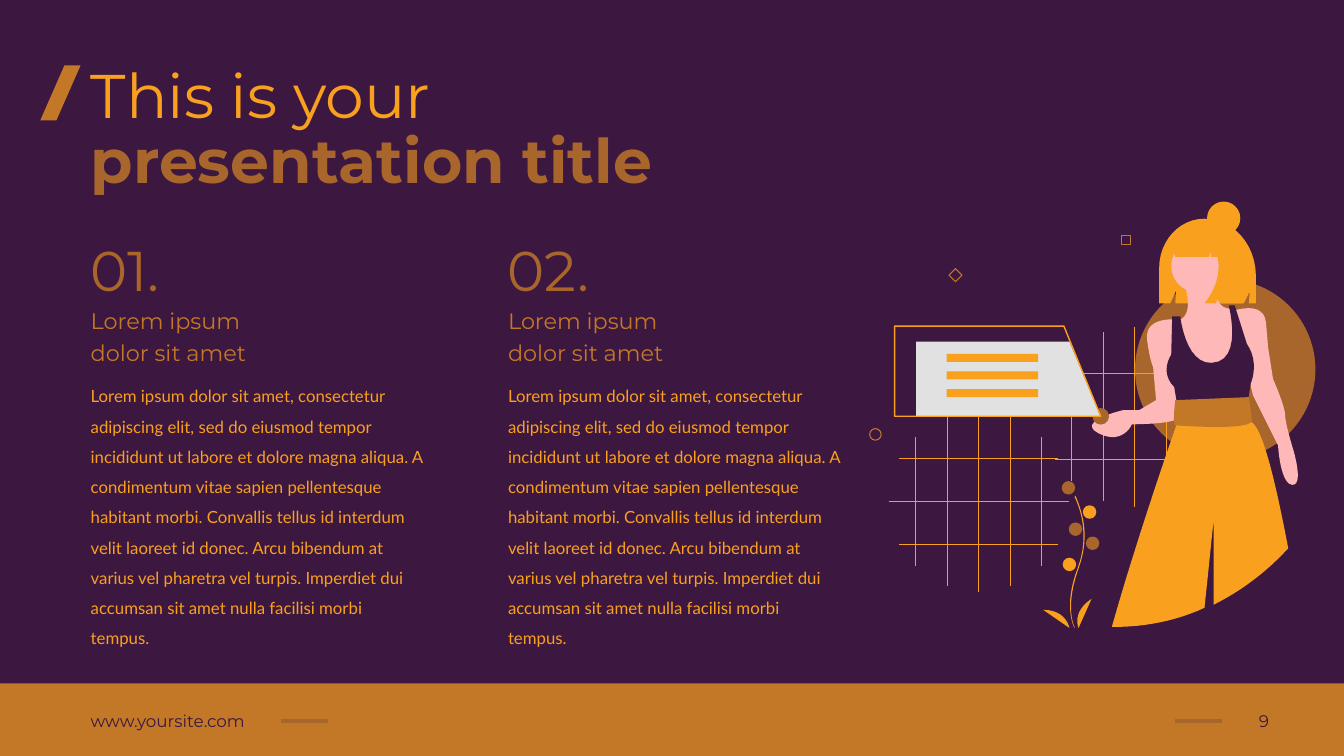
from lxml import etree
from pptx import Presentation
from pptx.dml.color import RGBColor
from pptx.enum.shapes import MSO_CONNECTOR, MSO_SHAPE as Preset
from pptx.enum.text import MSO_ANCHOR as Anchor, MSO_AUTO_SIZE as AutoSize, PP_ALIGN as Align
from pptx.oxml.ns import qn
from pptx.util import Pt

COLORS = {
    "plum": "3C1740", "amber": "F9A01E", "copper": "C37827", "brown": "A8652C",
    "skin": "FFB8B8", "silver": "E1E1E1", "slate": "3F3D56",
}
BODY = (
    "Lorem ipsum dolor sit amet, consectetur adipiscing elit, sed do eiusmod tempor "
    "incididunt ut labore et dolore magna aliqua. A condimentum vitae sapien pellentesque "
    "habitant morbi. Convallis tellus id interdum velit laoreet id donec. Arcu bibendum at "
    "varius vel pharetra vel turpis. Imperdiet dui accumsan sit amet nulla facilisi morbi tempus."
)

# Outlines on the illustration grid: a pair is a corner, six numbers are a Bézier curve
STEM = [(206, 423), (206, 423, 203, 418, 202, 408), (201, 400, 201, 385, 209, 364),
        (224, 325, 206, 293, 206, 293), (207, 292), (207, 292, 211, 300, 214, 313),
        (218, 330, 216, 348, 210, 364), (196, 403, 206, 422, 206, 422)]
RIGHT_LEAF = [(210, 423), (210, 423, 203, 407, 223, 394)]
LEFT_LEAF = [(201, 423), (201, 423, 198, 405, 175, 405)]
BACK_HAIR = [(335, 17), (310, 17, 290, 39, 290, 66), (290, 101), (301, 101), (307, 88),
             (306, 101), (374, 101), (380, 89), (379, 101), (386, 101), (386, 74),
             (386, 42, 363, 17, 335, 17)]
NECK = [(314, 79), (314, 79, 327, 112, 309, 118), (327, 179), (359, 177), (367, 157),
        (365, 126), (363, 106), (363, 106, 343, 111, 345, 76)]
LEFT_ARM = [(306, 117), (306, 117, 275, 114, 278, 137), (281, 159, 284, 164, 284, 164),
            (287, 197), (270, 207), (254, 207), (254, 207, 206, 218, 230, 230),
            (254, 242, 263, 221, 263, 221), (263, 221, 307, 221, 310, 214),
            (313, 206, 306, 117, 306, 117)]
RIGHT_ARM = [(365, 108), (365, 108, 394, 98, 396, 120), (398, 142, 398, 144, 398, 144),
             (403, 176), (403, 176, 415, 203, 415, 212), (415, 220, 423, 246, 423, 246),
             (423, 246, 434, 282, 422, 281), (410, 280, 408, 242, 408, 242),
             (383, 192), (376, 162)]
TOP = [(311, 114), (303, 114), (302, 152), (302, 152, 290, 169, 305, 184), (309, 208),
       (377, 205), (381, 180), (381, 180, 390, 160, 377, 141), (365, 103), (359, 103),
       (359, 103, 374, 159, 342, 160), (316, 161, 311, 114, 311, 114)]
TROUSERS = [(418, 344), (397, 367, 372, 386, 344, 400), (344, 353, 344, 316, 344, 316),
            (344, 316, 340, 355, 335, 403), (307, 416, 276, 422, 245, 422), (243, 422),
            (269, 330, 306, 225, 307, 222), (309, 215), (313, 203), (373, 202), (375, 205),
            (380, 218), (381, 218, 381, 219, 382, 219), (393, 226, 406, 280, 418, 344)]
BELT = [(379, 194), (306, 197), (306, 197, 303, 222, 306, 222),
        (307, 222, 383, 228, 382, 217), (381, 206, 379, 194, 379, 194)]
FRINGE = [(348, 30), (343, 25, 337, 21, 329, 21), (328, 21), (312, 21, 298, 36, 298, 55),
          (303, 55), (304, 48), (306, 55), (339, 55), (342, 49), (341, 55), (348, 55),
          (351, 70, 347, 86, 335, 101), (346, 101), (352, 89), (350, 101), (372, 101),
          (376, 74), (376, 54, 364, 37, 348, 30)]
PANEL = [(232, 213), (49, 213), (49, 139), (201, 139)]
FRAME = [(27.5, 123.5), (195.5, 123.5), (232, 213), (27.5, 213)]


def rgb(name):
    return RGBColor.from_string(COLORS[name])


def paint(shape, fill=None, line=None, width=0.75):
    shape.shadow.inherit = False
    if fill:
        shape.fill.solid()
        shape.fill.fore_color.rgb = rgb(fill)
    else:
        shape.fill.background()
    if line:
        shape.line.color.rgb = rgb(line)
        shape.line.width = Pt(width)
    else:
        shape.line.fill.background()
    return shape


def add_preset(shapes, preset, left, top, width, height, **style):
    return paint(shapes.add_shape(preset, Pt(left), Pt(top), Pt(width), Pt(height)), **style)


def add_line(shapes, x1, y1, x2, y2, color, width=0.75):
    line = shapes.add_connector(MSO_CONNECTOR.STRAIGHT, Pt(x1), Pt(y1), Pt(x2), Pt(y2))
    line.line.color.rgb = rgb(color)
    line.line.width = Pt(width)
    properties = line._element.find(qn("p:spPr"))
    etree.SubElement(properties, qn("a:effectLst"))


def add_text(slide, text, box, placeholder=None, size=12, font="Montserrat", color="amber",
             bold=False, align=Align.LEFT, anchor=Anchor.TOP, spacing=1.0):
    left, top, width, height = map(Pt, box)
    shape = placeholder or slide.shapes.add_textbox(left, top, width, height)
    shape.left, shape.top, shape.width, shape.height = left, top, width, height
    frame = shape.text_frame
    frame.word_wrap, frame.auto_size, frame.vertical_anchor = True, AutoSize.NONE, anchor
    frame.text = text
    for paragraph in frame.paragraphs:
        paragraph.alignment, paragraph.line_spacing = align, spacing
        paragraph.space_before = paragraph.space_after = Pt(0)
        properties = paragraph._p.get_or_add_pPr()
        properties.set("marL", "0")
        properties.set("indent", "0")
        etree.SubElement(properties, qn("a:buNone"))
        for run in paragraph.runs:
            run.font.size, run.font.name, run.font.bold = Pt(size), font, bold
            run.font.color.rgb = rgb(color)


def flatten(outline, steps=12):
    """Turn corners and Bézier curves into a list of points."""
    points = [outline[0]]
    for part in outline[1:]:
        if len(part) == 2:
            points.append(part)
            continue
        nodes = [points[-1], part[:2], part[2:4], part[4:]]
        for step in range(1, steps + 1):
            t = step / steps
            weights = ((1 - t) ** 3, 3 * t * (1 - t) ** 2, 3 * t * t * (1 - t), t ** 3)
            points.append(tuple(sum(w * node[axis] for w, node in zip(weights, nodes))
                                for axis in (0, 1)))
    return points


def add_footer(slide, left, top, width, height):
    add_preset(slide.shapes, Preset.RECTANGLE, left, top, width, height, fill="copper")
    middle = top + 26.8
    style = {"color": "plum", "anchor": Anchor.MIDDLE}
    add_text(slide, "www.yoursite.com", (left + 57.6, top + 12.4, 143.3, 28.8), **style)
    add_text(slide, "9", (left + 872.6, top + 12.4, 41, 28.8), align=Align.RIGHT, **style)
    for start in (left + 200.9, left + 839.5):
        add_line(slide.shapes, start, middle, start + 33.1, middle, "brown", 2.25)


def add_title(slide, left, top):
    slash = add_preset(slide.shapes, Preset.PARALLELOGRAM, left - 28.8, top + 10,
                       28.8, 39.3, fill="copper")
    slash.adjustments[0] = 0.6
    add_text(slide, "This is your", (left, top, 595, 60.5), slide.shapes.title, size=44)
    add_text(slide, "presentation title", (left, top + 46.8, 428, 60.5), size=44,
             color="brown", bold=True)


def add_column(slide, left, top, number, heading, body):
    add_text(slide, number, (left, top, 78, 61), size=40, color="brown", spacing=1.2)
    add_text(slide, "Lorem ipsum\ndolor sit amet", (left, top + 56.9, 213, 52), heading,
             size=16, color="copper", spacing=1.2)
    add_text(slide, BODY, (left, top + 110.2, 252, 179.3), body, font="Lato", spacing=1.5)


def add_illustration(slide, left, top, width):
    shapes = slide.shapes.add_group_shape().shapes
    unit = width / 450

    def place(x, y):
        return left + x * unit, top + y * unit

    def draw(outline, **style):
        points = [tuple(map(Pt, place(x, y))) for x, y in flatten(outline)]
        builder = shapes.build_freeform(*points[0])
        builder.add_line_segments(points[1:], close=True)
        paint(builder.convert_to_shape(), **style)

    def mark(preset, x, y, w, h, **style):
        """Place a preset shape around its centre."""
        add_preset(shapes, preset, *place(x - w / 2, y - h / 2), w * unit, h * unit, **style)

    def dot(x, y, size, color):
        mark(Preset.OVAL, x, y, size, size, fill=color)

    def grid(x, y, columns, rows):
        for i, (half, color) in enumerate(zip((64, 84, 89.5, 84, 64), columns)):
            across = x + (i - 2) * 31.25
            add_line(shapes, *place(across, y - half), *place(across, y + half), color)
        for i, (half, color) in enumerate(zip((79, 89.5, 79), rows)):
            down = y + (i - 1) * 42.5
            add_line(shapes, *place(x - half, down), *place(x + half, down), color)

    # Plant
    for outline in (STEM, RIGHT_LEAF, LEFT_LEAF):
        draw(outline, fill="amber")
    for x, y, color in ((200, 284, "brown"), (221, 308, "amber"), (207, 325, "brown"),
                        (224, 339, "brown"), (201, 360, "amber")):
        dot(x, y, 13.4, color)

    # Grids and disc
    grid(111, 297.5, ["amber"] * 5, ["amber"] * 3)
    dot(355.5, 166.5, 179, "brown")
    grid(266, 213.5, ["amber"] * 4 + ["slate"], ["amber", "slate", "amber"])

    # Woman
    for outline, color in ((BACK_HAIR, "amber"), (NECK, "skin"), (LEFT_ARM, "skin"),
                           (RIGHT_ARM, "skin"), (TOP, "plum"), (TROUSERS, "amber"),
                           (BELT, "copper")):
        draw(outline, fill=color)
    dot(328, 64, 52, "skin")
    draw(FRINGE, fill="amber")
    dot(354, 16.5, 33, "amber")

    # Panel
    dot(232, 213, 16.5, "brown")
    draw(PANEL, fill="silver")
    draw(FRAME, line="amber", width=1)
    for i in range(3):
        mark(Preset.RECTANGLE, 124.5, 155 + i * 17.5, 91, 8, fill="amber")

    # Small outlined marks
    for preset, x, y, size in ((Preset.OVAL, 8.5, 231, 11.5), (Preset.RECTANGLE, 257, 38, 9.5),
                               (Preset.DIAMOND, 88, 73, 13)):
        mark(preset, x, y, size, size, line="copper")


def main():
    presentation = Presentation()
    presentation.slide_width, presentation.slide_height = Pt(960), Pt(540)
    slide = presentation.slides.add_slide(presentation.slide_layouts.get_by_name("Comparison"))
    slide.background.fill.solid()
    slide.background.fill.fore_color.rgb = rgb("plum")
    holders = slide.placeholders
    add_footer(slide, 0, 488.2, 960, 51.8)
    add_title(slide, 57.6, 36.7)
    add_column(slide, 57.6, 154.8, "01.", holders[1], holders[2])
    add_column(slide, 355.7, 154.8, "02.", holders[3], holders[4])
    add_illustration(slide, 619.2, 144, 324)
    presentation.save("out.pptx")


if __name__ == "__main__":
    main()
